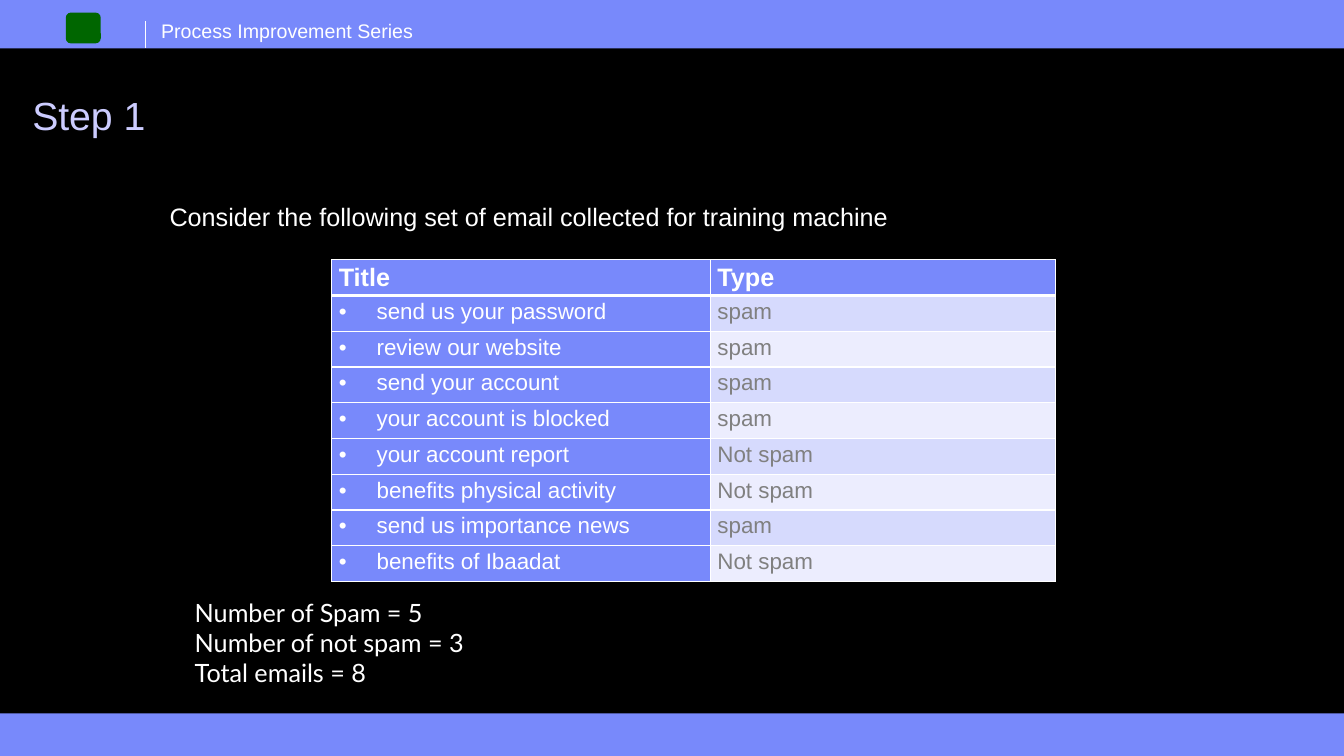
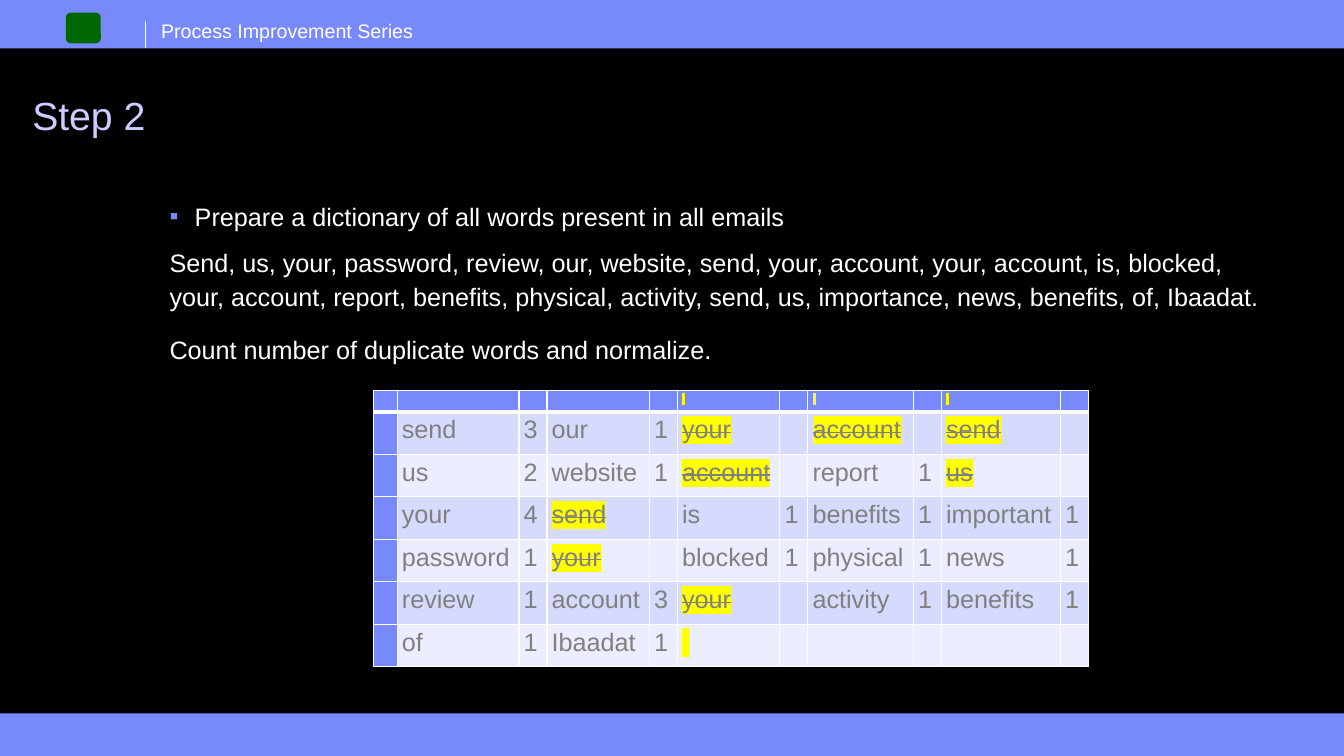
from dataclasses import dataclass

from lxml.etree import SubElement
from pptx import Presentation
from pptx.dml.color import RGBColor
from pptx.enum.shapes import MSO_CONNECTOR, MSO_SHAPE
from pptx.enum.text import MSO_ANCHOR
from pptx.oxml.ns import qn
from pptx.util import Pt


@dataclass(frozen=True)
class Theme:
    back: RGBColor = RGBColor.from_string("000000")
    band: RGBColor = RGBColor.from_string("7889FB")
    title: RGBColor = RGBColor.from_string("CCCCFF")
    text: RGBColor = RGBColor.from_string("FFFFFF")
    cell: RGBColor = RGBColor.from_string("808080")
    odd: RGBColor = RGBColor.from_string("D6DAFD")
    even: RGBColor = RGBColor.from_string("ECEDFE")
    logo: RGBColor = RGBColor.from_string("006600")
    mark: str = "FFFF00"
    sans: str = "Arial"
    alt: str = "Lato"
    head: int = 28
    body: int = 18
    item: int = 16
    label: int = 14
    tiny: int = 8


T = Theme()
WIDE, HIGH = 960, 540


def write(para, text, size, color, face=T.sans, bold=False, bullet=None, indent=0):
    """Fill a paragraph; a bullet hangs by the indent."""
    if text:
        para.add_run().text = text
    if bullet:
        props = para._p.get_or_add_pPr()
        props.set("marL", str(Pt(indent)))
        props.set("indent", str(-Pt(indent)))
        tint = SubElement(SubElement(props, qn("a:buClr")), qn("a:srgbClr"))
        tint.set("val", str(T.band if bullet == "▪" else color))
        SubElement(props, qn("a:buFont")).set("typeface", T.sans)
        SubElement(props, qn("a:buChar")).set("char", bullet)
    font = para.font
    font.name, font.size, font.bold = face, Pt(size), bold
    font.color.rgb = color
    if not text:
        SubElement(para._p, qn("a:endParaRPr")).set("sz", str(size * 100))


def grid(slide, left, top, cols, rows, inset):
    """Add a table with white rules, a band for header and first column."""
    table = slide.shapes.add_table(len(rows), len(cols), Pt(left), Pt(top),
                                   Pt(sum(cols)), Pt(sum(rows))).table
    table.first_row = table.horz_banding = False
    for col, width in zip(table.columns, cols):
        col.width = Pt(width)
    for y, height in enumerate(rows):
        table.rows[y].height = Pt(height)
        for x in range(len(cols)):
            cell = table.cell(y, x)
            cell.margin_left = cell.margin_right = Pt(inset)
            cell.margin_top = cell.margin_bottom = 0
            props = cell._tc.get_or_add_tcPr()
            thick = {"T": 3 if y == 1 else 1, "B": 3 if y == 0 else 1}
            for side in "LRTB":
                line = SubElement(props, qn("a:ln" + side))
                line.set("w", str(Pt(thick.get(side, 1))))
                fill = SubElement(line, qn("a:solidFill"))
                SubElement(fill, qn("a:srgbClr")).set("val", str(T.text))
            cell.fill.solid()
            band = y == 0 or x == 0
            cell.fill.fore_color.rgb = T.band if band else T.odd if y % 2 else T.even
            cell.text_frame.paragraphs[0].line_spacing = 1.15
    return table


deck = Presentation()
deck.slide_width, deck.slide_height = Pt(WIDE), Pt(HIGH)

# Shared frame: background, bands, header label and title
slides = []
for name in ("Step 1", "Step 2"):
    slide = deck.slides.add_slide(deck.slide_layouts[6])
    slides.append(slide)
    slide.background.fill.solid()
    slide.background.fill.fore_color.rgb = T.back
    for kind, box, color in (
        (MSO_SHAPE.RECTANGLE, (0, 509.5, WIDE, 30.5), T.band),
        (MSO_SHAPE.RECTANGLE, (0, 0, WIDE, 34.5), T.band),
        (MSO_SHAPE.ROUNDED_RECTANGLE, (47, 9, 25, 22), T.logo),
    ):
        shape = slide.shapes.add_shape(kind, *map(Pt, box))
        shape.shadow.inherit = False
        shape.fill.solid()
        shape.fill.fore_color.rgb = color
        shape.line.fill.background()

    rule = slide.shapes.add_connector(MSO_CONNECTOR.STRAIGHT, Pt(104), Pt(15),
                                      Pt(104), Pt(34))
    rule.line.color.rgb = T.text
    rule.line.width = Pt(0.75)
    SubElement(rule._element.spPr, qn("a:effectLst"))

    for text, box, size, color in (
        ("Process Improvement Series", (108, 10, 200, 24), T.label, T.text),
        (name, (16, 63, 944, 38), T.head, T.title),
    ):
        frame = slide.shapes.add_textbox(*map(Pt, box)).text_frame
        frame.word_wrap = True
        frame.vertical_anchor = MSO_ANCHOR.MIDDLE
        write(frame.paragraphs[0], text, size, color)

first, second = slides

# Step 1: introduction and totals
for box, face, lines in (
    ((114, 140, 796, 30), T.sans,
     ["Consider the following set of email collected for training machine"]),
    ((132, 423, 400, 72), T.alt,
     ["Number of Spam = 5", "Number of not spam = 3", "Total emails = 8"]),
):
    frame = first.shapes.add_textbox(*map(Pt, box)).text_frame
    frame.word_wrap = True
    for n, line in enumerate(lines):
        para = frame.add_paragraph() if n else frame.paragraphs[0]
        write(para, line, T.body, T.text, face)

# Step 1: training emails
mails = [
    ("Title", "Type"),
    ("send us your password", "spam"),
    ("review our website", "spam"),
    ("send your account", "spam"),
    ("your account is blocked", "spam"),
    ("your account report", "Not spam"),
    ("benefits physical activity", "Not spam"),
    ("send us importance news", "spam"),
    ("benefits of Ibaadat", "Not spam"),
]
table = grid(first, 237, 185.5, [270.5, 246.5], [25.55] * len(mails), 5)
for y, row in enumerate(mails):
    for x, text in enumerate(row):
        para = table.cell(y, x).text_frame.paragraphs[0]
        if y == 0:
            write(para, text, T.body, T.text, bold=True)
        elif x == 0:
            write(para, text, T.item, T.text, bullet="•", indent=27)
        else:
            write(para, text, T.item, T.cell)

# Step 2: instructions
frame = second.shapes.add_textbox(Pt(114), Pt(140), Pt(796), Pt(130)).text_frame
frame.word_wrap = True
para = frame.paragraphs[0]
para.space_after = Pt(3)
write(para, "Prepare a dictionary of all words present in all emails",
      T.body, T.text, bullet="▪", indent=18)
for line in (
    "Send, us, your, password, review, our, website, send, your, account, your, "
    "account, is, blocked, your, account, report, benefits, physical, activity, "
    "send, us, importance, news, benefits, of, Ibaadat.",
    "Count number of duplicate words and normalize.",
):
    para = frame.add_paragraph()
    para.line_spacing = 1.15
    para.space_before, para.space_after = Pt(5), Pt(8)
    write(para, line, T.body, T.text)

# Step 2: word counts; "~" marks a struck duplicate
words = [
    ["", "", "", "", "", "~ ", "", "~ ", "", "~ ", ""],
    ["", "send", "3", "our", "1", "~your", "", "~account", "", "~send", ""],
    ["", "us", "2", "website", "1", "~account", "", "report", "1", "~us", ""],
    ["", "your", "4", "~send", "", "is", "1", "benefits", "1", "important", "1"],
    ["", "password", "1", "~your", "", "blocked", "1", "physical", "1", "news", "1"],
    ["", "review", "1", "account", "3", "~your", "", "activity", "1", "benefits", "1"],
    ["", "of", "1", "Ibaadat", "1", "~ ", "", "", "", "", ""],
]
cols = [17.2, 87] + [20, 73.2] * 2 + [20, 75.4, 20, 85, 20]
table = grid(second, 266.5, 279, cols, [15.2] + [30.35] * 6, 3.4)
for y, row in enumerate(words):
    for x, text in enumerate(row):
        para = table.cell(y, x).text_frame.paragraphs[0]
        write(para, text.lstrip("~"), T.body if y else T.tiny, T.cell)
        if text.startswith("~"):
            props = para.runs[0]._r.get_or_add_rPr()
            props.set("strike", "noStrike" if text == "~ " else "sngStrike")
            mark = SubElement(props, qn("a:highlight"))
            SubElement(mark, qn("a:srgbClr")).set("val", T.mark)

deck.save("out.pptx")
